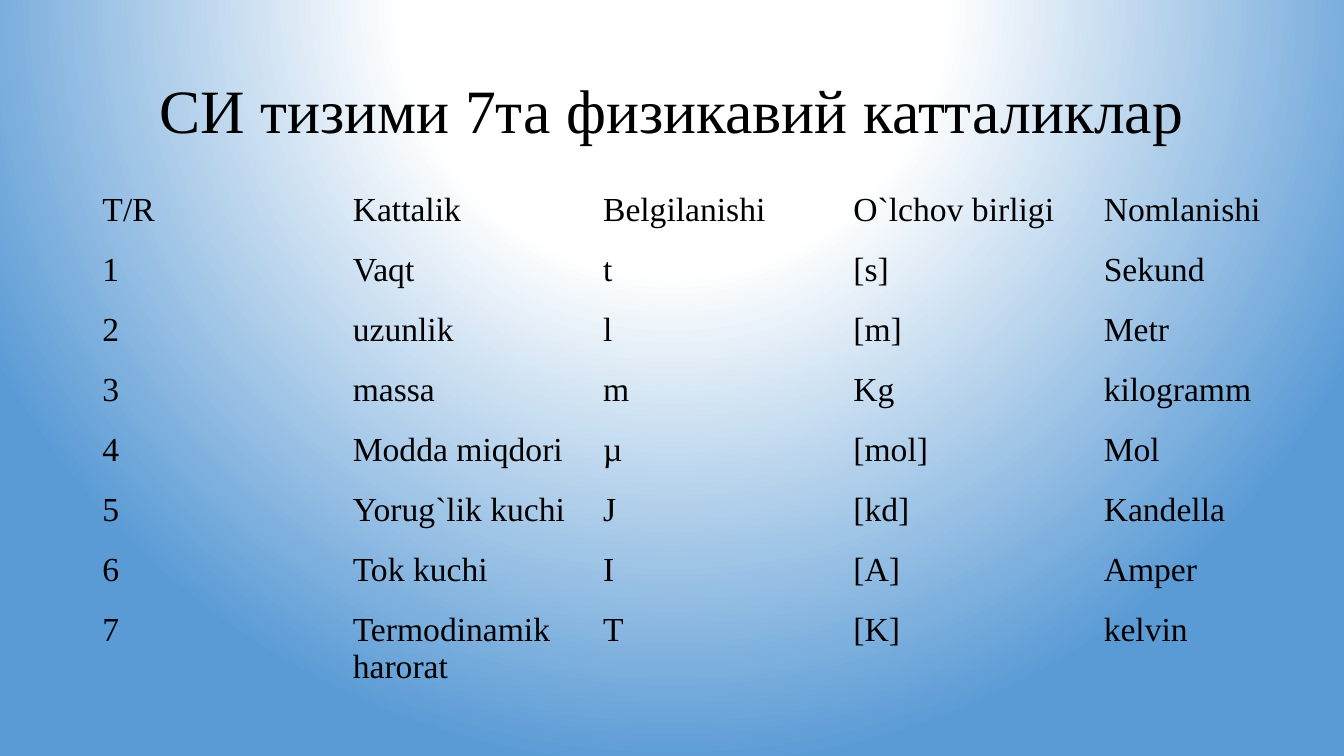
from lxml import etree
from pptx import Presentation
from pptx.dml.color import RGBColor as RGB
from pptx.enum.text import MSO_ANCHOR as ANCHOR, MSO_AUTO_SIZE as FIT, PP_ALIGN as ALIGN
from pptx.oxml import parse_xml
from pptx.oxml.ns import nsdecls, qn
from pptx.util import Inches, Pt

COLORS = {"text": "000000", "center": "FFFFFF", "edge": "5B9BD5"}
COLS, ROWS = 160, 90  # grid units across and down the slide
NO_STYLE = "{2D5ABB26-0587-4C30-8999-92F81FD0307C}"


class Deck:
    font = "Times New Roman"

    def __init__(self, prs):
        self.prs = prs
        self.slide = prs.slides.add_slide(prs.slide_layouts[5])

    def x(self, cols):
        return round(self.prs.slide_width * cols / COLS)

    def y(self, rows):
        return round(self.prs.slide_height * rows / ROWS)

    def style(self, p, size):
        p.font.name, p.font.size = self.font, Pt(size)
        p.font.color.rgb = RGB.from_string(COLORS["text"])

    def background(self, stops, focus):
        fill = self.slide.background.fill
        fill.gradient()
        grad = self.slide.background._cSld.find(".//" + qn("a:gradFill"))
        marks = "".join(
            f'<a:gs pos="{pos * 1000}"><a:srgbClr val="{COLORS[name]}"/></a:gs>'
            for pos, name in stops)
        rect = " ".join(f'{side}="{share * 1000}"' for side, share in zip("ltrb", focus))
        grad.getparent().replace(grad, parse_xml(
            f'<a:gradFill {nsdecls("a")} rotWithShape="1"><a:gsLst>{marks}</a:gsLst>'
            f'<a:path path="circle"><a:fillToRect {rect}/></a:path></a:gradFill>'))

    def title(self, text, left, top, width, height, size):
        sp = self.slide.shapes.title
        sp.left, sp.top = self.x(left), self.y(top)
        sp.width, sp.height = self.x(width), self.y(height)
        tf = sp.text_frame
        tf.text, tf.word_wrap = text, True
        tf.auto_size, tf.vertical_anchor = FIT.NONE, ANCHOR.MIDDLE
        p = tf.paragraphs[0]
        p.alignment, p.line_spacing = ALIGN.CENTER, 0.9
        self.style(p, size)

    def table(self, data, left, top, width, heights, size):
        frame = self.slide.shapes.add_table(
            len(data), len(data[0]), self.x(left), self.y(top),
            self.x(width), self.y(sum(heights)))
        tbl = frame.table
        tbl.first_row = tbl.horz_banding = False
        tbl._tbl.tblPr.find(qn("a:tableStyleId")).text = NO_STYLE
        for row, height, texts in zip(tbl.rows, heights, data):
            row.height = self.y(height)
            for cell, text in zip(row.cells, texts):
                cell.text = text
                cell.fill.background()
                self.style(cell.text_frame.paragraphs[0], size)


QUANTITIES = [
    ("Vaqt", "t", "[s]", "Sekund"),
    ("uzunlik", "l", "[m]", "Metr"),
    ("massa", "m", "Kg", "kilogramm"),
    ("Modda miqdori", "µ", "[mol]", "Mol"),
    ("Yorug`lik kuchi", "J", "[kd]", "Kandella"),
    ("Tok kuchi", "I", "[A]", "Amper"),
    ("Termodinamik harorat", "T", "[K]", "kelvin"),
]
HEADER = ("T/R", "Kattalik", "Belgilanishi", "O`lchov birligi", "Nomlanishi")

prs = Presentation()
prs.slide_width, prs.slide_height = Inches(13.33), Inches(7.5)
deck = Deck(prs)

# Radial background, centred above the slide
deck.background([(0, "center"), (35, "center"), (100, "edge")], (50, -80, 50, 180))

# Title
deck.title("СИ тизими 7та физикавий катталиклар", 11, 4.8, 138, 17.4, size=44)

# Numbered table of base quantities; the last row holds two lines
numbered = [(str(n), *row) for n, row in enumerate(QUANTITIES, 1)]
deck.table([HEADER, *numbered], 11, 22.2, 149, [7.15] * len(QUANTITIES) + [12.8], size=24)

prs.save("out.pptx")
